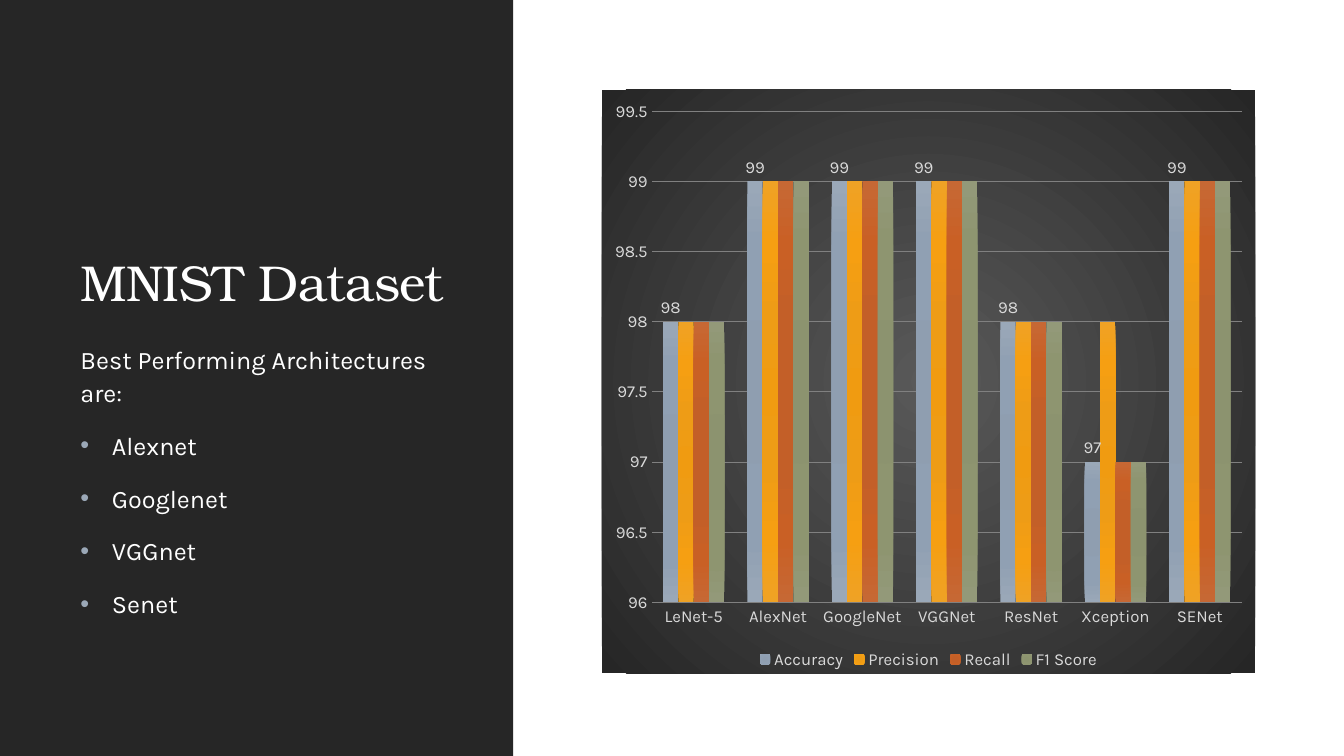
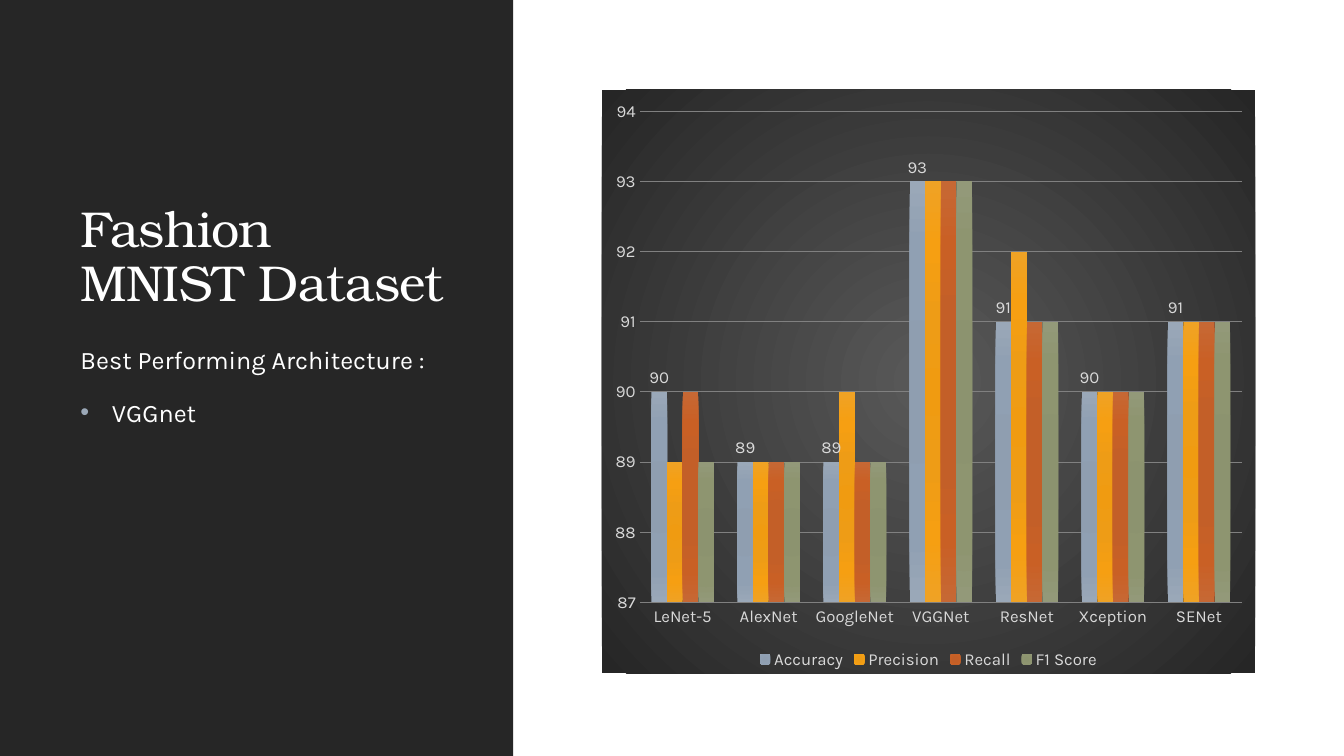
from lxml.etree import SubElement
from pptx import Presentation
from pptx.chart.data import CategoryChartData
from pptx.dml.color import RGBColor
from pptx.enum.chart import XL_CHART_TYPE, XL_LABEL_POSITION, XL_LEGEND_POSITION, XL_TICK_MARK
from pptx.enum.shapes import MSO_SHAPE
from pptx.enum.text import MSO_ANCHOR
from pptx.oxml import parse_xml
from pptx.oxml.ns import nsdecls, qn
from pptx.util import Pt

TITLE_FONT, BODY_FONT = "TeX Gyre Bonum", "Karla"
WHITE, PANEL, BULLET = "FFFFFF", "262626", "9BA8B7"
CHART_TEXT, GRIDLINE = "D9D9D9", "808080"
CHART_GRADIENT = [(0, "595959"), (100, "262626")]
METRIC_COLORS = {
    "Accuracy": ("8D9CAE", "8F9EB0", "90A0B3", "9AA8B8"),
    "Precision": ("F09B11", "EE9C16", "F69F12", "EFA225"),
    "Recall": ("C45D25", "C35F28", "C96025", "C66834"),
    "F1 Score": ("8B926D", "8C936F", "8E9570", "939979"),
}
METRIC_STOPS = (0, 34, 70, 100)
ARCHITECTURES = ["LeNet-5", "AlexNet", "GoogleNet", "VGGNet", "ResNet", "Xception", "SENet"]
TEXT_LEFT, TEXT_WIDTH = 50.4, 277.2

DATASETS = [
    {
        "title": "MNIST Dataset",
        "lead": "Best Performing Architectures are:",
        "best": ["Alexnet", "Googlenet", "VGGnet", "Senet"],
        "scale": (96, 99.5, 0.5),
        "scores": {
            "Accuracy": [98, 99, 99, 99, 98, 97, 99],
            "Precision": [98, 99, 99, 99, 98, 98, 99],
            "Recall": [98, 99, 99, 99, 98, 97, 99],
            "F1 Score": [98, 99, 99, 99, 98, 97, 99],
        },
    },
    {
        "title": "Fashion MNIST Dataset",
        "lead": "Best Performing Architecture :",
        "best": ["VGGnet"],
        "scale": (87, 94, 1),
        "scores": {
            "Accuracy": [90, 89, 89, 93, 91, 90, 91],
            "Precision": [89, 89, 90, 93, 92, 90, 91],
            "Recall": [90, 89, 89, 93, 91, 90, 91],
            "F1 Score": [89, 89, 89, 93, 91, 90, 91],
        },
    },
]


def rgb(value):
    return RGBColor.from_string(value)


def style_font(font, name, size, color):
    font.name = name
    font.size = Pt(size)
    font.color.rgb = rgb(color)


def radial_fill(stops, focus):
    """Return a circular gradient whose centre rectangle is inset by focus percent."""
    stop_xml = "".join(
        f'<a:gs pos="{position * 1000}"><a:srgbClr val="{color}"/></a:gs>'
        for position, color in stops
    )
    inset = focus * 1000
    return parse_xml(
        f'<a:gradFill {nsdecls("a")} rotWithShape="1"><a:gsLst>{stop_xml}</a:gsLst>'
        f'<a:path path="circle"><a:fillToRect l="{inset}" t="{inset}" r="{inset}" b="{inset}"/>'
        "</a:path></a:gradFill>"
    )


def add_panel(slide):
    panel = slide.shapes.add_shape(MSO_SHAPE.RECTANGLE, 0, 0, Pt(366.5), Pt(540))
    panel.shadow.inherit = False
    panel.fill.solid()
    panel.fill.fore_color.rgb = rgb(PANEL)
    panel.line.fill.background()


def add_text_frame(slide, top, height):
    box = slide.shapes.add_textbox(Pt(TEXT_LEFT), Pt(top), Pt(TEXT_WIDTH), Pt(height))
    box.text_frame.word_wrap = True
    return box.text_frame


def add_title(slide, title):
    frame = add_text_frame(slide, 62, 165)
    frame.vertical_anchor = MSO_ANCHOR.BOTTOM
    frame.text = title
    paragraph = frame.paragraphs[0]
    paragraph.line_spacing = 0.9
    run = paragraph.runs[0]
    style_font(run.font, TITLE_FONT, 36, WHITE)
    run.font._element.set("spc", "-50")


def add_bullet(paragraph):
    properties = paragraph._p.get_or_add_pPr()
    indent = Pt(22.5)
    properties.set("marL", str(indent))
    properties.set("indent", str(-indent))
    bullet_color = SubElement(properties, qn("a:buClr"))
    SubElement(bullet_color, qn("a:srgbClr"), val=BULLET)
    SubElement(properties, qn("a:buFont"), typeface="Arial")
    SubElement(properties, qn("a:buChar"), char="•")


def add_findings(slide, lead, best):
    frame = add_text_frame(slide, 240, 241)
    frame.text = "\n".join([lead, *best])
    for index, paragraph in enumerate(frame.paragraphs):
        paragraph.line_spacing = 1.1
        paragraph.space_before = Pt(12)
        paragraph.space_after = Pt(2)
        style_font(paragraph.runs[0].font, BODY_FONT, 18, WHITE)
        if index:
            add_bullet(paragraph)


def style_axis(axis):
    axis.major_tick_mark = axis.minor_tick_mark = XL_TICK_MARK.NONE
    axis.format.line.fill.background()
    style_font(axis.tick_labels.font, BODY_FONT, 12, CHART_TEXT)


def style_chart_area(chart):
    area = parse_xml(f'<c:spPr {nsdecls("c", "a")}><a:ln><a:noFill/></a:ln></c:spPr>')
    area.insert(0, radial_fill(CHART_GRADIENT, 50))
    chart._chartSpace.find(qn("c:chart")).addnext(area)


def style_value_axis(axis, scale):
    style_axis(axis)
    axis.minimum_scale, axis.maximum_scale, axis.major_unit = scale
    gridline = axis.major_gridlines.format.line
    gridline.width = Pt(0.75)
    gridline.color.rgb = rgb(GRIDLINE)


def add_accuracy_labels(accuracy):
    labels = accuracy.data_labels
    labels.show_value = True
    labels.position = XL_LABEL_POSITION.OUTSIDE_END
    style_font(labels.font, BODY_FONT, 12, CHART_TEXT)


def add_score_chart(slide, scores, scale):
    data = CategoryChartData()
    data.categories = ARCHITECTURES
    for metric, values in scores.items():
        data.add_series(metric, values)
    chart = slide.shapes.add_chart(
        XL_CHART_TYPE.COLUMN_CLUSTERED, Pt(430), Pt(64), Pt(466.5), Pt(417), data
    ).chart
    style_font(chart.font, BODY_FONT, 10, "000000")
    style_chart_area(chart)
    chart.has_title = False
    chart.has_legend = True
    chart.legend.position = XL_LEGEND_POSITION.BOTTOM
    chart.legend.include_in_layout = False
    style_font(chart.legend.font, BODY_FONT, 12, CHART_TEXT)
    style_axis(chart.category_axis)
    style_value_axis(chart.value_axis, scale)

    plot = chart.plots[0]
    plot.gap_width = 150
    plot.overlap = 0
    plot.vary_by_categories = False
    for series in plot.series:
        stops = zip(METRIC_STOPS, METRIC_COLORS[series.name])
        series._element.get_or_add_spPr().insert(0, radial_fill(stops, 100))
    add_accuracy_labels(plot.series[0])


def main():
    presentation = Presentation()
    presentation.slide_width, presentation.slide_height = Pt(960), Pt(540)
    for dataset in DATASETS:
        slide = presentation.slides.add_slide(presentation.slide_layouts[6])
        add_panel(slide)
        add_title(slide, dataset["title"])
        add_findings(slide, dataset["lead"], dataset["best"])
        add_score_chart(slide, dataset["scores"], dataset["scale"])
    presentation.save("out.pptx")


if __name__ == "__main__":
    main()
